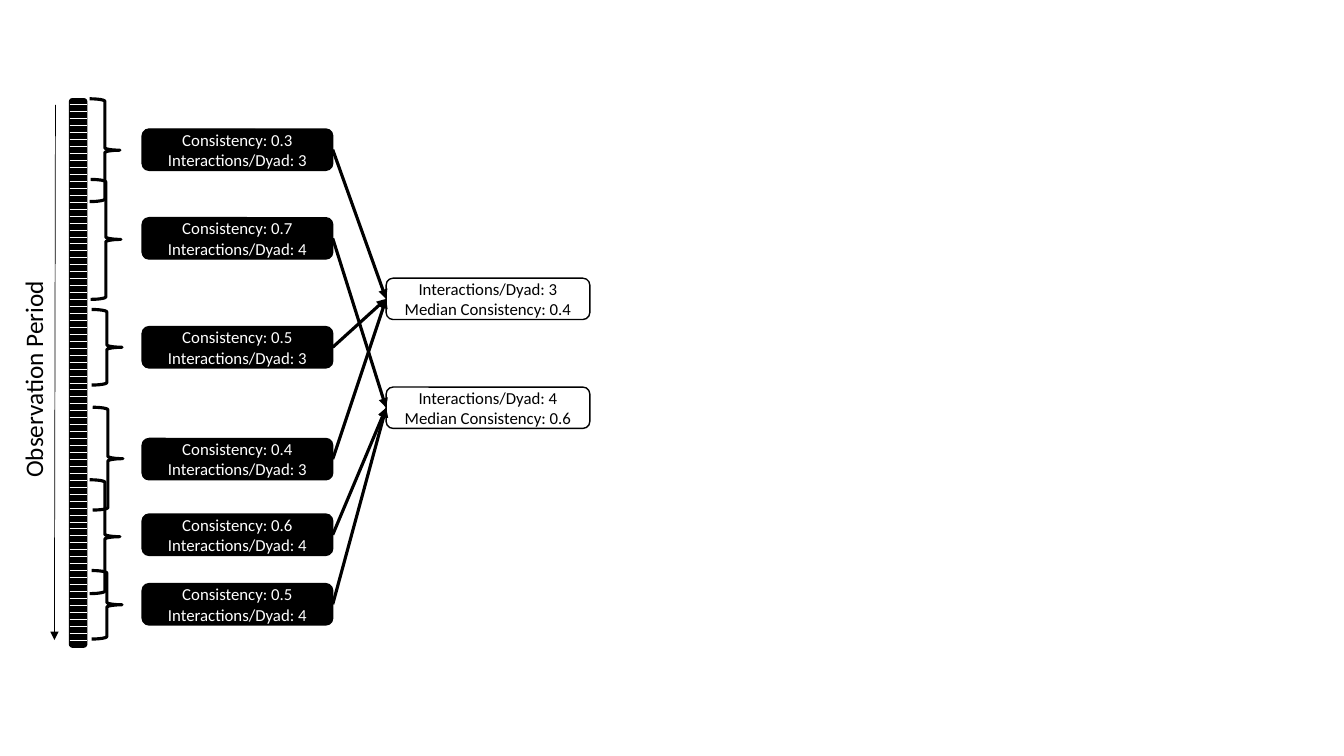
from lxml import etree
from pptx import Presentation
from pptx import util as u
from pptx.dml.color import RGBColor
from pptx.enum import shapes, text
from pptx.oxml.ns import qn

COLORS = {"black": "000000", "white": "FFFFFF"}
FONT = "Calibri"

# Brace (left, top, height), box top, consistency, interactions per dyad
PERIODS = [
    (0.89, 0.98, 1.02, 1.28, "0.3", 3),
    (0.90, 1.78, 1.19, 2.16, "0.7", 4),
    (0.91, 3.07, 0.75, 3.24, "0.5", 3),
    (0.92, 4.04, 1.02, 4.35, "0.4", 3),
    (0.89, 4.76, 1.13, 5.10, "0.6", 4),
    (0.91, 5.66, 0.68, 5.79, "0.5", 4),
]
# Interactions per dyad: (box top, median consistency)
MEDIANS = {3: (2.76, "0.4"), 4: (3.84, "0.6")}

BAR_LEFT, BAR_TOP, BAR_WIDTH, BAR_HEIGHT = 0.69, 0.98, 0.17, 5.44
TICK_COUNT, FIRST_TICK, LAST_TICK = 78, 1.04, 6.35
BRACE_WIDTH = 0.3
BOX_HEIGHT = 0.41
PERIOD_LEFT, PERIOD_WIDTH = 1.41, 1.89
MEDIAN_LEFT, MEDIAN_WIDTH = 3.83, 2.02


def rgb(name):
    """Return the named colour."""
    return RGBColor.from_string(COLORS[name])


def add_line(start, end, color, width, arrow=False):
    """Draw a straight line, with an arrowhead at its end if asked."""
    points = [u.Inches(value) for value in (*start, *end)]
    line = slide.shapes.add_connector(shapes.MSO_CONNECTOR.STRAIGHT, *points)
    line.line.color.rgb = rgb(color)
    line.line.width = u.Pt(width)
    if arrow:
        etree.SubElement(line.line._get_or_add_ln(), qn("a:tailEnd"), type="triangle")
    etree.SubElement(line._element.spPr, qn("a:effectLst"))


def add_outlined(kind, box, width, fill=None):
    """Draw a black-outlined preset shape, filled or open."""
    shape = slide.shapes.add_shape(kind, *[u.Inches(value) for value in box])
    shape.shadow.inherit = False
    if fill:
        shape.fill.solid()
        shape.fill.fore_color.rgb = rgb(fill)
    else:
        shape.fill.background()
    shape.line.color.rgb = rgb("black")
    shape.line.width = u.Pt(width)
    return shape


def write(frame, lines, size, color):
    """Write centred paragraphs into a text frame."""
    frame.word_wrap = True
    for index, line in enumerate(lines):
        paragraph = frame.add_paragraph() if index else frame.paragraphs[0]
        paragraph.text = line
        paragraph.alignment = text.PP_ALIGN.CENTER
        paragraph.font.name = FONT
        paragraph.font.size = u.Pt(size)
        paragraph.font.color.rgb = rgb(color)


def add_box(left, top, width, lines, fill, color):
    """Draw a rounded box with two centred lines of text."""
    box = (left, top, width, BOX_HEIGHT)
    shape = add_outlined(shapes.MSO_SHAPE.ROUNDED_RECTANGLE, box, 1, fill)
    shape.text_frame.vertical_anchor = text.MSO_ANCHOR.MIDDLE
    write(shape.text_frame, lines, 12, color)


presentation = Presentation()
presentation.slide_width = u.Inches(13.33)
presentation.slide_height = u.Inches(7.5)
slide = presentation.slides.add_slide(presentation.slide_layouts[6])

# Observation bar, its ticks and the time arrow
add_outlined(shapes.MSO_SHAPE.ROUNDED_RECTANGLE,
             (BAR_LEFT, BAR_TOP, BAR_WIDTH, BAR_HEIGHT), 1, "black")
tick_gap = (LAST_TICK - FIRST_TICK) / (TICK_COUNT - 1)
for index in range(TICK_COUNT):
    y = FIRST_TICK + index * tick_gap
    add_line((BAR_LEFT, y), (BAR_LEFT + BAR_WIDTH, y), "white", 0.5)
add_line((0.55, FIRST_TICK), (0.54, LAST_TICK), "black", 0.5, arrow=True)

label = slide.shapes.add_textbox(u.Inches(0.13), u.Inches(2.68), u.Inches(0.5), u.Inches(2.17))
label.text_frame._txBody.bodyPr.set("vert", "vert270")
write(label.text_frame, ["Observation Period"], 18, "black")

# Periods, medians and the arrows that group them
for left, top, height, box_top, consistency, dyad in PERIODS:
    add_outlined(shapes.MSO_SHAPE.RIGHT_BRACE, (left, top, BRACE_WIDTH, height), 2.25)
    add_box(PERIOD_LEFT, box_top, PERIOD_WIDTH,
            [f"Consistency: {consistency}", f"Interactions/Dyad: {dyad}"], "black", "white")
for dyad, (top, median) in MEDIANS.items():
    add_box(MEDIAN_LEFT, top, MEDIAN_WIDTH,
            [f"Interactions/Dyad: {dyad}", f"Median Consistency: {median}"], "white", "black")
for *_, box_top, _, dyad in PERIODS:
    start = (PERIOD_LEFT + PERIOD_WIDTH, box_top + BOX_HEIGHT / 2)
    end = (MEDIAN_LEFT, MEDIANS[dyad][0] + BOX_HEIGHT / 2)
    add_line(start, end, "black", 2.25, arrow=True)

presentation.save("out.pptx")
